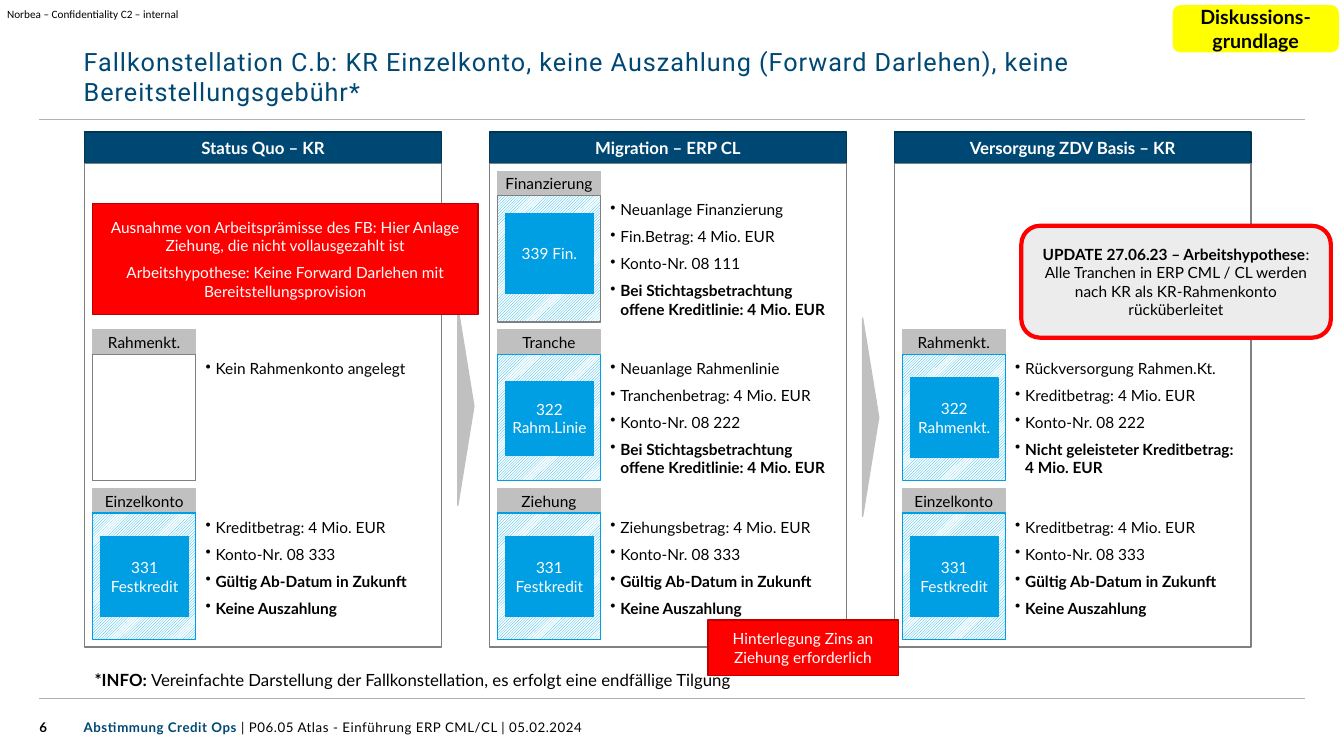
from lxml.etree import SubElement
from pptx import Presentation
from pptx.dml.color import RGBColor
from pptx.enum.dml import MSO_PATTERN as Pattern
from pptx.enum.shapes import MSO_CONNECTOR as Line, MSO_SHAPE as Shape
from pptx.enum.text import MSO_ANCHOR as Anchor, MSO_AUTO_SIZE as Fit, PP_ALIGN as Align
from pptx.oxml.ns import qn
from pptx.util import Inches, Pt

WHITE = RGBColor(0xFF, 0xFF, 0xFF)
BLACK = RGBColor(0, 0, 0)
NAVY = RGBColor(0x00, 0x48, 0x74)
DEEP = RGBColor(0x00, 0x35, 0x56)
BLUE = RGBColor(0x00, 0x9E, 0xE3)
SKY = RGBColor(0x00, 0xB0, 0xF0)
SILVER = RGBColor(0xC0, 0xC0, 0xC0)
GREY = RGBColor(0x80, 0x80, 0x80)
RULE = RGBColor(0xB2, 0xB2, 0xB2)
PALE = RGBColor(0xEC, 0xEC, 0xEC)
RED = RGBColor(0xFF, 0, 0)
WINE = RGBColor(0xBD, 0, 0)
YELLOW = RGBColor(0xFF, 0xFF, 0)

WIDE, HIGH = 13.33, 7.5
LEFT, TOP = 0.84, 1.31          # corner of the column grid
COL, ROW = 4.015, 1.575         # grid pitch
PANEL, HEAD, BODY = 3.54, 0.31, 4.8
PAD, CARD, TAB = 0.08, 1.02, 0.24
EDGE = (0.04, 0.05, 0.04, 0.05)
NONE = (0, 0, 0, 0)
STD = (0.1, 0.05, 0.1, 0.05)

LOAN = "331 Festkredit"
FIXED = ["Gültig Ab-Datum in Zukunft", "Keine Auszahlung"]
OPEN = ["Bei Stichtagsbetrachtung offene Kreditlinie: 4 Mio. EUR"]
SINGLE = ("Einzelkonto", LOAN, ["Kreditbetrag: 4 Mio. EUR", "Konto-Nr. 08 333"], FIXED)

# Per column: heading and cards by row (tab, tile, plain lines, bold lines)
COLUMNS = [
    ("Status Quo – KR", {
        1: ("Rahmenkt.", "", ["Kein Rahmenkonto angelegt"], []),
        2: SINGLE}),
    ("Migration – ERP CL", {
        0: ("Finanzierung", "339 Fin.", ["Neuanlage Finanzierung",
            "Fin.Betrag: 4 Mio. EUR", "Konto-Nr. 08 111"], OPEN),
        1: ("Tranche", "322 Rahm.Linie", ["Neuanlage Rahmenlinie",
            "Tranchenbetrag: 4 Mio. EUR", "Konto-Nr. 08 222"], OPEN),
        2: ("Ziehung", LOAN, ["Ziehungsbetrag: 4 Mio. EUR", "Konto-Nr. 08 333"], FIXED)}),
    ("Versorgung ZDV Basis – KR", {
        1: ("Rahmenkt.", "322 Rahmenkt.", ["Rückversorgung Rahmen.Kt.",
            "Kreditbetrag: 4 Mio. EUR", "Konto-Nr. 08 222"],
            ["Nicht geleisteter Kreditbetrag: 4 Mio. EUR"]),
        2: SINGLE}),
]
TILES = {"339 Fin.": (0.18, 0.79), "322 Rahm.Linie": (0.27, 0.73)}   # drop, height


def place(box):
    return [Inches(v) for v in box]


def write(shape, paras, size=11, color=BLACK, face="Lato", align=Align.LEFT,
          anchor=Anchor.TOP, inset=STD, wrap=True, after=0, bullet=False, spacing=0):
    """Fill a shape with paragraphs, each a list of (text, bold) runs."""
    frame = shape.text_frame
    sides = zip(("left", "top", "right", "bottom"), inset)
    look = {"margin_" + side: Inches(gap) for side, gap in sides}
    look.update(word_wrap=wrap, vertical_anchor=anchor, auto_size=Fit.NONE)
    for key, value in look.items():
        setattr(frame, key, value)
    for i, runs in enumerate(paras):
        para = frame.add_paragraph() if i else frame.paragraphs[0]
        if bullet:
            props = para._p.get_or_add_pPr()
            props.set("marL", str(Inches(0.1)))
            props.set("indent", str(-Inches(0.1)))
            SubElement(props, qn("a:buChar")).set("char", "•")
        para.alignment = align
        para.space_after = Pt(after)
        for text, bold in runs:
            run = para.add_run()
            run.text = text
            for key, value in {"size": Pt(size), "name": face, "bold": bold}.items():
                setattr(run.font, key, value)
            run.font.color.rgb = color
            if spacing:
                run.font._element.set("spc", str(spacing))


def label(slide, box, paras, **style):
    write(slide.shapes.add_textbox(*place(box)), paras, **style)


def block(slide, box, fill=None, line=None, paras=(), kind=Shape.RECTANGLE, width=1, **style):
    """Draw a preset shape with centred text."""
    shape = slide.shapes.add_shape(kind, *place(box))
    shape.shadow.inherit = False
    if fill:
        shape.fill.solid()
        shape.fill.fore_color.rgb = fill
    else:
        shape.fill.background()
    if line:
        shape.line.color.rgb = line
        shape.line.width = Pt(width)
    else:
        shape.line.fill.background()
    if paras:
        write(shape, paras, align=Align.CENTER, anchor=Anchor.MIDDLE, **style)
    return shape


def rule(slide, y):
    line = slide.shapes.add_connector(Line.STRAIGHT, *place((0.39, y, 12.94, y)))
    line.line.color.rgb = RULE
    line.line.width = Pt(0.75)
    SubElement(line._element.spPr, qn("a:effectLst"))


def card(slide, x, y, name, tile, plain, bold):
    block(slide, (x, y, CARD, TAB), SILVER, SILVER, [[(name, False)]], inset=EDGE)
    y += TAB
    tall = ROW - TAB - PAD
    edge = BLUE if tile and name != "Finanzierung" else GREY
    frame = block(slide, (x, y, CARD, tall), line=edge)
    if tile:
        frame.fill.patterned()
        frame.fill.pattern = Pattern.DARK_UPWARD_DIAGONAL
        frame.fill.fore_color.rgb = SKY
        frame.fill.back_color.rgb = WHITE
        drop, height = TILES.get(tile, (0.235, 0.79))
        block(slide, (x + PAD, y + drop, 0.87, height), BLUE, BLUE, [[(tile, False)]],
              color=WHITE, inset=(0, 0.05, 0, 0.05))
    lines = [[(text, False)] for text in plain] + [[(text, True)] for text in bold]
    label(slide, (x + CARD, y, 2.36, tall), lines, bullet=True, after=6,
          inset=(0.1, 0.05, 0, 0.05))


def column(slide, x, y, title, cards):
    block(slide, (x, y, PANEL, HEAD), NAVY, DEEP, [[(title, True)]],
          size=12, color=WHITE, inset=EDGE)
    y += HEAD
    block(slide, (x, y, PANEL, BODY), line=GREY)
    for row, parts in cards.items():
        card(slide, x + PAD, y + PAD + row * ROW, *parts)


def arrow(slide, x, y):
    """Draw a flat triangle pointing right, centred on x and y."""
    long, thin = 1.97, 0.16
    block(slide, (x - long / 2, y - thin / 2, long, thin), SILVER, SILVER,
          kind=Shape.ISOSCELES_TRIANGLE).rotation = 90


def header(slide):
    title = slide.shapes.title
    title.left, title.top, title.width, title.height = place((0.83, 0.47, 11.68, 0.59))
    write(title, [[("Fallkonstellation C.b: KR Einzelkonto, keine Auszahlung (Forward Darlehen), "
                    "keine Bereitstellungsgebühr*", False)]],
          size=18, color=NAVY, face="Roboto", anchor=Anchor.BOTTOM, inset=NONE, spacing=70)
    label(slide, (0.07, 0.07, 1.71, 0.13),
          [[("Norbea – Confidentiality C2 – internal", False)]],
          size=8, face="Calibri", inset=NONE, wrap=False)
    block(slide, (11.63, 0.05, 1.65, 0.47), YELLOW, paras=[[("Diskussions-grundlage", True)]],
          kind=Shape.ROUNDED_RECTANGLE, size=14)
    rule(slide, 1.19)


def footer(slide):
    rule(slide, 6.93)
    label(slide, (0.39, 7.14, 0.37, 0.24), [[("6", True)]], size=9.5, inset=NONE)
    box = slide.shapes.add_textbox(*place((0.83, 7.14, 10.28, 0.24)))
    write(box, [[("Abstimmung Credit Ops ", True),
                 ("| P06.05 Atlas - Einführung ERP CML/CL | 05.02.2024", False)]],
          size=9.5, inset=NONE, wrap=False, spacing=40)
    box.text_frame.paragraphs[0].runs[0].font.color.rgb = NAVY
    label(slide, (LEFT, 6.66, 11.57, 0.16),
          [[("*INFO: ", True), ("Vereinfachte Darstellung der Fallkonstellation, "
                               "es erfolgt eine endfällige Tilgung", False)]],
          size=12, anchor=Anchor.MIDDLE)


def notices(slide):
    block(slide, (7.02, 6.15, 1.89, 0.55), RED, WINE,
          [[("Hinterlegung Zins an Ziehung erforderlich", False)]], color=WHITE)
    block(slide, (0.92, 2.02, 3.82, 1.1), RED, WINE,
          [[("Ausnahme von Arbeitsprämisse des FB: Hier Anlage Ziehung, "
             "die nicht vollausgezahlt ist", False)],
           [("Arbeitshypothese: Keine Forward Darlehen mit Bereitstellungsprovision", False)]],
          color=WHITE, after=6)
    block(slide, (10.13, 2.24, 3.07, 1.11), PALE, RED,
          [[("UPDATE 27.06.23 – Arbeitshypothese", True), (":", False)],
           [("Alle Tranchen in ERP CML / CL werden nach KR als KR-Rahmenkonto "
             "rücküberleitet", False)]],
          kind=Shape.ROUNDED_RECTANGLE, width=3, inset=(0.04,) * 4)


def main():
    deck = Presentation()
    deck.slide_width, deck.slide_height = Inches(WIDE), Inches(HIGH)
    slide = deck.slides.add_slide(deck.slide_layouts[5])
    header(slide)
    footer(slide)
    for i, (title, cards) in enumerate(COLUMNS):
        column(slide, LEFT + i * COL, TOP, title, cards)
    for i, y in enumerate((4.03, 4.14)):
        arrow(slide, 4.62 + i * COL, y)
    notices(slide)
    deck.save("out.pptx")


if __name__ == "__main__":
    main()
